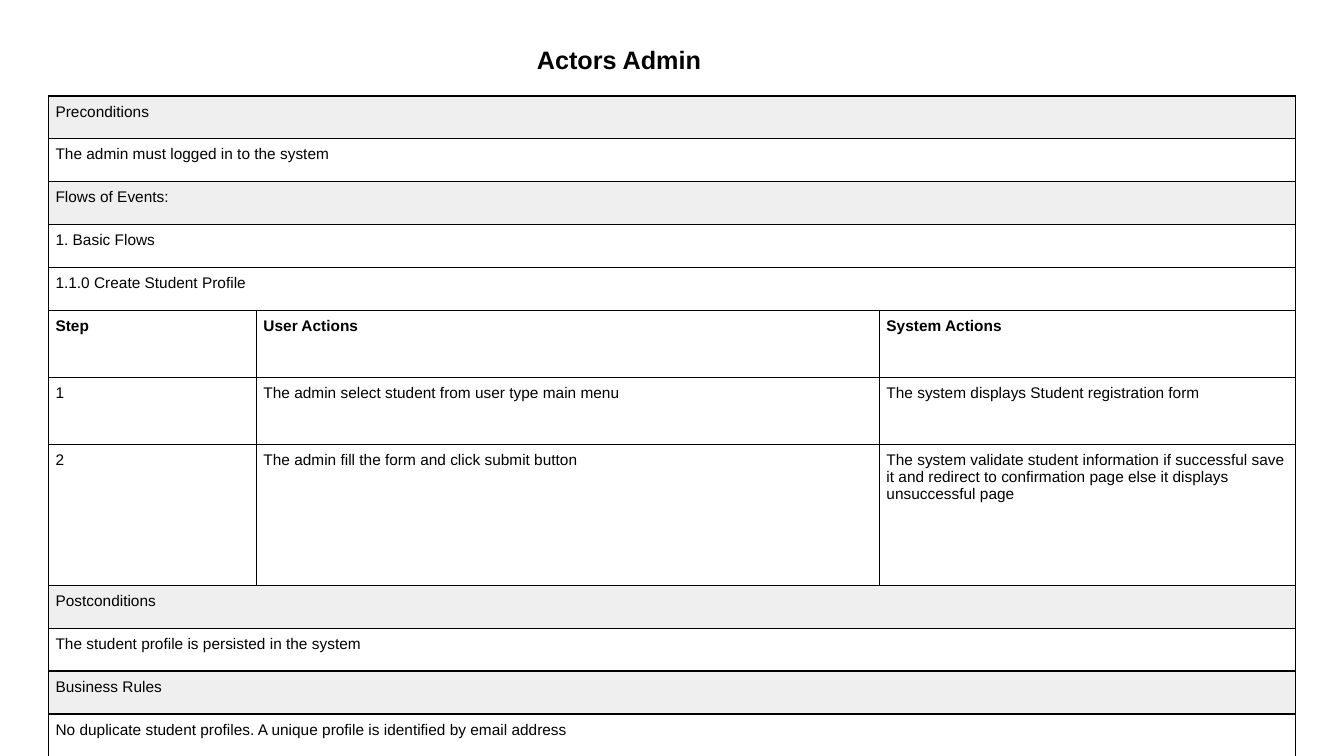
import pptx
import pptx.dml.color
import pptx.enum.text
import pptx.oxml.ns
import pptx.util
import lxml.etree
from dataclasses import dataclass

Cm = pptx.util.Cm


@dataclass(frozen=True)
class Theme:
    font: str = "Arial"
    ink: str = "000000"
    paper: str = "FFFFFF"
    band: str = "EFEFEF"
    title_size: int = 18
    body_size: int = 11
    border_width: int = 1
    title_inset: float = 0.25
    cell_inset: float = 0.18


class UseCaseSlide:
    """Holds the theme and the current slide, and adds elements to it."""

    def __init__(self, slide, theme):
        self.slide = slide
        self.theme = theme

    def style_paragraph(self, paragraph, size, bold=False):
        font = paragraph.font
        font.name = self.theme.font
        font.size = pptx.util.Pt(size)
        font.bold = bold
        font.color.rgb = pptx.dml.color.RGBColor.from_string(self.theme.ink)

    def set_insets(self, holder, inset):
        for side in ("left", "top", "right", "bottom"):
            setattr(holder, f"margin_{side}", Cm(inset))

    def add_title(self, text, left, top, width, height):
        frame = self.slide.shapes.add_textbox(
            Cm(left), Cm(top), Cm(width), Cm(height)).text_frame
        frame.word_wrap = True
        self.set_insets(frame, self.theme.title_inset)
        frame.text = text
        self.style_paragraph(frame.paragraphs[0], self.theme.title_size, bold=True)

    def set_borders(self, cell):
        properties = cell._tc.get_or_add_tcPr()
        qualify = pptx.oxml.ns.qn
        # Border lines must come before the cell fill
        for position, tag in enumerate(("a:lnL", "a:lnR", "a:lnT", "a:lnB")):
            line = lxml.etree.Element(
                qualify(tag), w=str(pptx.util.Pt(self.theme.border_width)))
            fill = lxml.etree.SubElement(line, qualify("a:solidFill"))
            lxml.etree.SubElement(fill, qualify("a:srgbClr"), val=self.theme.ink)
            properties.insert(position, line)

    def fill_cell(self, cell, text, color, bold):
        cell.fill.solid()
        cell.fill.fore_color.rgb = pptx.dml.color.RGBColor.from_string(color)
        self.set_borders(cell)
        self.set_insets(cell, self.theme.cell_inset)
        cell.vertical_anchor = pptx.enum.text.MSO_ANCHOR.TOP
        cell.text = text
        self.style_paragraph(cell.text_frame.paragraphs[0], self.theme.body_size, bold)

    def add_table(self, rows, left, top, column_widths):
        height = sum(ROW_HEIGHTS[kind] for kind, _ in rows)
        table = self.slide.shapes.add_table(
            len(rows), len(column_widths), Cm(left), Cm(top),
            Cm(sum(column_widths)), Cm(height)).table
        table.first_row = table.horz_banding = False
        for column, width in zip(table.columns, column_widths):
            column.width = Cm(width)

        last_column = len(column_widths) - 1
        for index, (kind, texts) in enumerate(rows):
            table.rows[index].height = Cm(ROW_HEIGHTS[kind])
            # A single text spans the whole row
            if len(texts) == 1:
                table.cell(index, 0).merge(table.cell(index, last_column))
            color = self.theme.band if kind == "section" else self.theme.paper
            for column in range(len(column_widths)):
                text = texts[column] if column < len(texts) else ""
                self.fill_cell(table.cell(index, column), text, color, kind == "header")


ROW_HEIGHTS = {"section": 1.08, "line": 1.08, "header": 1.69, "step": 1.69, "tall step": 3.55}

USE_CASE_ROWS = [
    ("section", ["Preconditions"]),
    ("line", ["The admin must logged in to the system"]),
    ("section", ["Flows of Events:"]),
    ("line", ["1. Basic Flows"]),
    ("line", ["1.1.0 Create Student Profile"]),
    ("header", ["Step", "User Actions", "System Actions"]),
    ("step", ["1", "The admin select student from user type main menu",
              "The system displays Student registration form"]),
    ("tall step", ["2", "The admin fill the form and click submit button",
                   "The system validate student information if successful save it and "
                   "redirect to confirmation page else it displays unsuccessful page"]),
    ("section", ["Postconditions"]),
    ("line", ["The student profile is persisted in the system"]),
    ("section", ["Business Rules"]),
    ("line", ["No duplicate student profiles. A unique profile is identified by email address"]),
]


def main():
    presentation = pptx.Presentation()
    presentation.slide_width = Cm(33.87)
    presentation.slide_height = Cm(19.05)
    slide = presentation.slides.add_slide(presentation.slide_layouts[6])
    use_case = UseCaseSlide(slide, Theme())

    # Use case table
    use_case.add_table(USE_CASE_ROWS, left=1.22, top=2.42, column_widths=(5.24, 15.7, 10.48))

    # Title
    use_case.add_title("Actors Admin", left=13.28, top=0.86, width=6, height=1.57)

    presentation.save("out.pptx")


if __name__ == "__main__":
    main()
